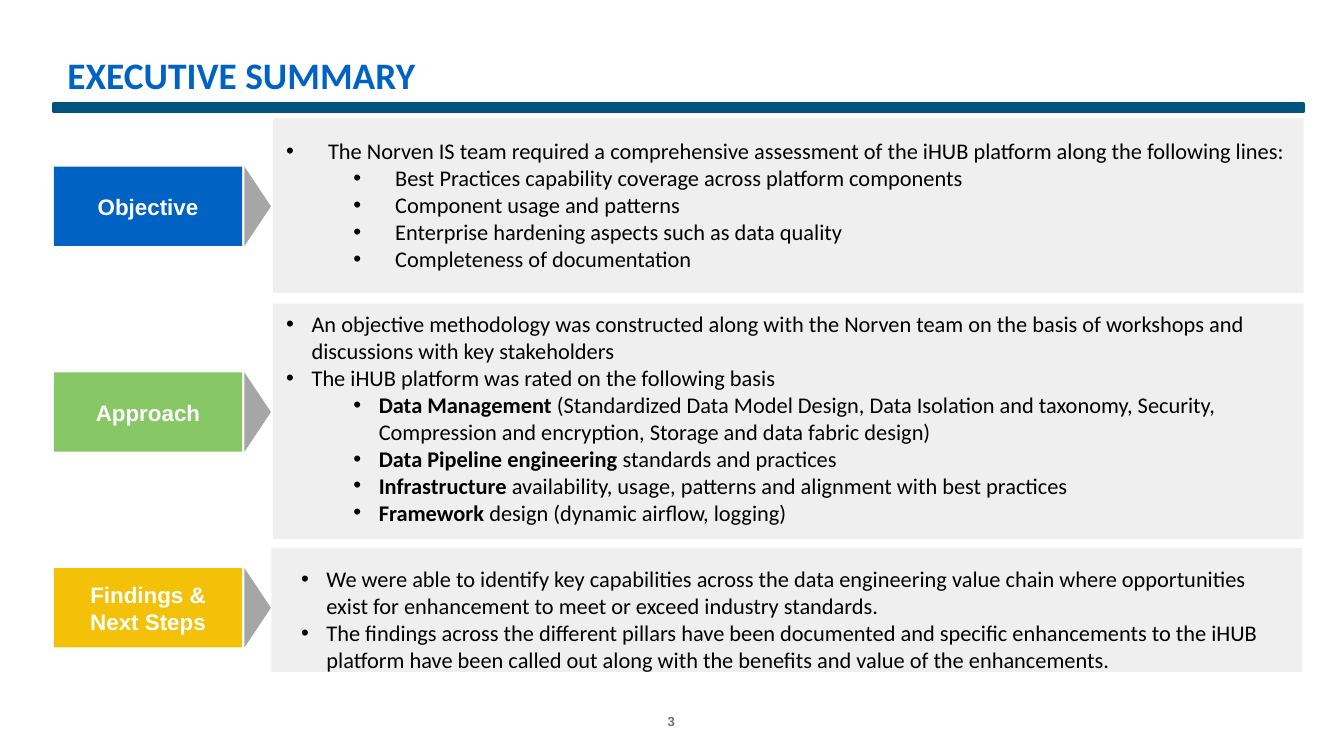
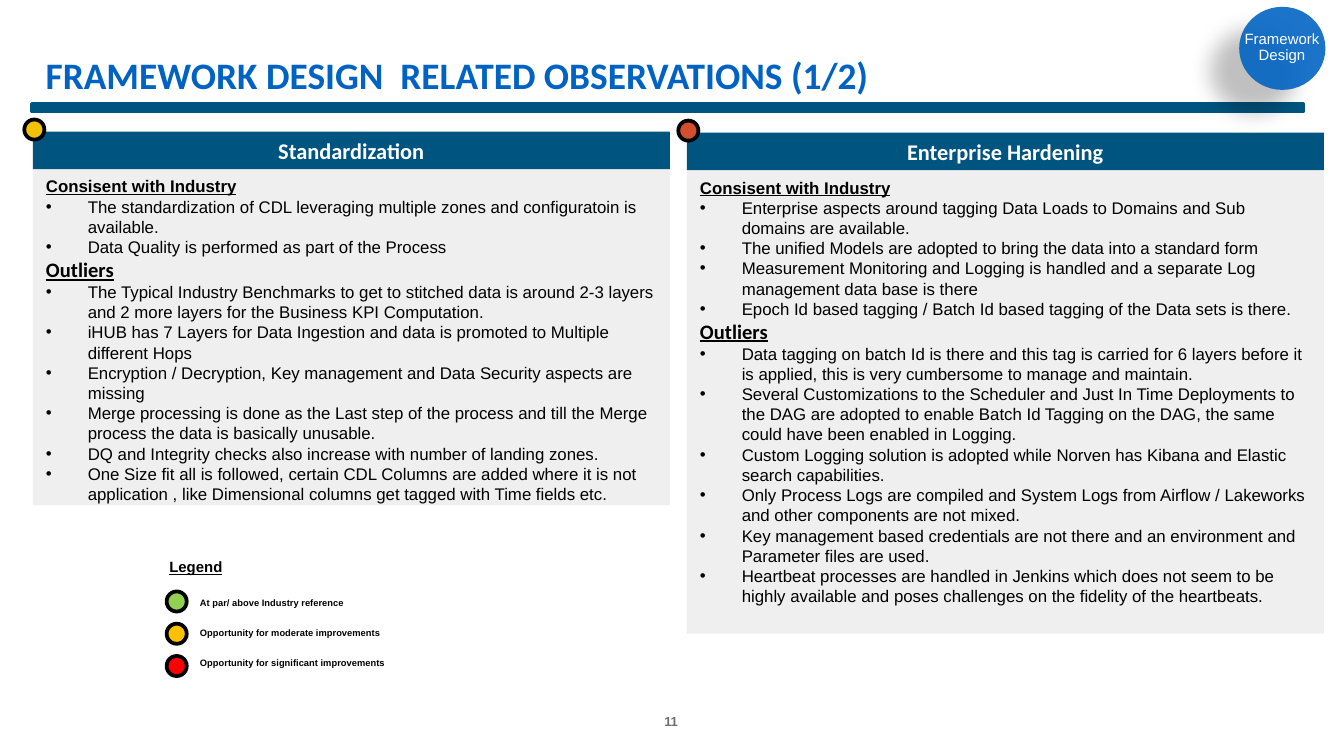
"""Build the two review slides: the summary and the framework findings."""
import lxml.etree
import pptx
import pptx.dml.color
import pptx.enum.shapes
import pptx.enum.text
import pptx.oxml.ns
import pptx.util

Cm = pptx.util.Cm
Pt = pptx.util.Pt
RGBColor = pptx.dml.color.RGBColor
Shape = pptx.enum.shapes.MSO_SHAPE
Align = pptx.enum.text.PP_ALIGN
Anchor = pptx.enum.text.MSO_ANCHOR
qn = pptx.oxml.ns.qn

BLUE = RGBColor(0x00, 0x63, 0xC3)
NAVY = RGBColor(0x00, 0x54, 0x80)
GREEN = RGBColor(0x88, 0xC7, 0x65)
GOLD = RGBColor(0xF3, 0xC1, 0x08)
RUST = RGBColor(0xD3, 0x4D, 0x2F)
LIME = RGBColor(0x92, 0xD0, 0x50)
AMBER = RGBColor(0xFF, 0xC0, 0x00)
RED = RGBColor(0xFF, 0x00, 0x00)
PALE = RGBColor(0xEF, 0xEF, 0xEF)
GRAY = RGBColor(0xA6, 0xA6, 0xA6)
SLATE = RGBColor(0x71, 0x6F, 0x73)
BLACK = RGBColor(0x00, 0x00, 0x00)
WHITE = RGBColor(0xFF, 0xFF, 0xFF)
SANS = "Arial"
HUMAN = "Calibri"

GOALS = [
    (0, "The Norven IS team required a comprehensive assessment of the iHUB platform along the following lines:"),
    (1, "Best Practices capability coverage across platform components"),
    (1, "Component usage and patterns"),
    (1, "Enterprise hardening aspects such as data quality"),
    (1, "Completeness of documentation"),
]
STEPS = [
    (0, "An objective methodology was constructed along with the Norven team on the basis of workshops and discussions with key stakeholders"),
    (0, "The iHUB platform was rated on the following basis"),
    (1, "Data Management| (Standardized Data Model Design, Data Isolation and taxonomy, Security, Compression and encryption, Storage and data fabric design)"),
    (1, "Data Pipeline engineering| standards and practices"),
    (1, "Infrastructure| availability, usage, patterns and alignment with best practices"),
    (1, "Framework| design (dynamic airflow, logging)"),
]
FINDS = [
    (0, "We were able to identify key capabilities across the data engineering value chain where opportunities exist for enhancement to meet or exceed industry standards."),
    (0, "The findings across the different pillars have been documented and specific enhancements to the iHUB platform have been called out along with the benefits and value of the enhancements."),
]
ROWS = [
    ("Objective", BLUE, 3.15, GOALS, (5.16, 2.24, 3.3), 0.36, 0.79, 0.79),
    ("Approach", GREEN, 7.04, STEPS, (5.16, 5.74, 4.45), 0.13, 0.48, 0.48),
    ("Findings & Next Steps", GOLD, 10.74, FINDS, (5.13, 10.36, 2.34), 0.33, 0.79, 0.48),
]
COLS = [
    ("Standardization", GOLD, 0.62, 2.49, 6.35, [
        "The standardization of CDL leveraging multiple zones and configuratoin is available.",
        "Data Quality is performed as part of the Process",
    ], [
        "The Typical Industry Benchmarks to get to stitched data is around 2-3 layers and 2 more layers for the Business KPI Computation.",
        "iHUB has 7 Layers for Data Ingestion and data is promoted to Multiple different Hops",
        "Encryption / Decryption, Key management and Data Security aspects are missing",
        "Merge processing is done as the Last step of the process and till the Merge process the data is basically unusable.",
        "DQ and Integrity checks also increase with number of landing zones.",
        "One Size fit all is followed, certain CDL Columns are added where it is not application , like Dimensional columns get tagged with Time fields etc.",
    ]),
    ("Enterprise Hardening", RUST, 12.98, 2.51, 8.76, [
        "Enterprise aspects around tagging Data Loads to Domains and Sub domains are available.",
        "The unified Models are adopted to bring the data into a standard form",
        "Measurement Monitoring and Logging is handled and a separate Log management data base is there",
        "Epoch Id based tagging / Batch Id based tagging of the Data sets is there.",
    ], [
        "Data tagging on batch Id is there and this tag is carried for 6 layers before it is applied, this is very cumbersome to manage and maintain.",
        "Several Customizations to the Scheduler and Just In Time Deployments to the DAG are adopted to enable Batch Id Tagging on the DAG, the same could have been enabled in Logging.",
        "Custom Logging solution is adopted while Norven has Kibana and Elastic search capabilities.",
        "Only Process Logs are compiled and System Logs from Airflow / Lakeworks and other components are not mixed.",
        "Key management based credentials are not there and an environment and Parameter files are used.",
        "Heartbeat processes are handled in Jenkins which does not seem to be highly available and poses challenges on the fidelity of the heartbeats.",
    ]),
]
LEGEND = [
    (LIME, "At par/ above Industry reference"),
    (AMBER, "Opportunity for moderate improvements"),
    (RED, "Opportunity for significant improvements"),
]


class Deck:
    def __init__(self):
        self.show = pptx.Presentation()
        self.show.slide_width = Cm(25.4)
        self.show.slide_height = Cm(14.29)
        self.slide = None

    def page(self, title, number, left, width):
        self.slide = self.show.slides.add_slide(self.show.slide_layouts[5])
        head = self.slide.shapes.title
        head.left, head.top, head.width, head.height = Cm(left), Cm(0.84), Cm(width), Cm(1.12)
        self.fill(head.text_frame, [title], HUMAN, 20, BLUE, True, Align.LEFT, Anchor.BOTTOM)
        bar = self.block(Shape.RECTANGLE, left, 1.97, 24.63 - left, 0.14, NAVY)
        self.edge(bar, NAVY)
        self.label([str(number)], 11.53, 13.03, 2.31, 0.76, 7, SLATE, True,
                   Align.CENTER, Anchor.BOTTOM, 0)

    def block(self, kind, left, top, width, height, color):
        shape = self.slide.shapes.add_shape(kind, Cm(left), Cm(top), Cm(width), Cm(height))
        shape.shadow.inherit = False
        shape.fill.solid()
        shape.fill.fore_color.rgb = color
        shape.line.fill.background()
        return shape

    def edge(self, shape, color):
        shape.line.color.rgb = color
        shape.line.width = Pt(2)

    def style(self, part, face, size, color, bold=False, under=False):
        for run in part.runs:
            run.font.name = face
            run.font.size = Pt(size)
            run.font.color.rgb = color
            run.font.bold = bold
            run.font.underline = under

    def fill(self, frame, lines, face, size, color, bold, align, anchor):
        frame.word_wrap = True
        frame.auto_size = pptx.enum.text.MSO_AUTO_SIZE.NONE
        frame.vertical_anchor = anchor
        frame.text = "\n".join(lines)
        for part in frame.paragraphs:
            part.alignment = align
            self.style(part, face, size, color, bold)

    def label(self, lines, left, top, width, height, size, color, bold,
              align=Align.LEFT, anchor=Anchor.TOP, inset=None):
        box = self.slide.shapes.add_textbox(Cm(left), Cm(top), Cm(width), Cm(height))
        frame = box.text_frame
        self.fill(frame, lines, SANS, size, color, bold, align, anchor)
        if inset is not None:
            frame.margin_left = frame.margin_right = Cm(inset)
            frame.margin_top = frame.margin_bottom = Cm(inset)
        return frame

    def band(self, text, left, top, width, height, color, face):
        shape = self.block(Shape.RECTANGLE, left, top, width, height, color)
        self.fill(shape.text_frame, [text], face, 12, WHITE, True, Align.CENTER, Anchor.MIDDLE)

    def panel(self, left, top, width, height, inset=0.13):
        frame = self.block(Shape.RECTANGLE, left, top, width, height, PALE).text_frame
        frame.word_wrap = True
        frame.vertical_anchor = Anchor.TOP
        frame.margin_top = Cm(inset)
        return frame

    def line(self, frame, text):
        part = frame.paragraphs[0]
        if part.runs:
            part = frame.add_paragraph()
        part.text = text
        part.alignment = Align.LEFT
        return part

    def bullet(self, frame, text, level, indent, hang, face, size):
        lead, mark, rest = text.partition("|")
        part = self.line(frame, lead)
        part.level = level
        props = part._p.get_or_add_pPr()
        props.set("marL", str(Cm(indent + 1.27 * level)))
        props.set("indent", str(-Cm(hang)))
        lxml.etree.SubElement(props, qn("a:buFont")).set("typeface", SANS)
        lxml.etree.SubElement(props, qn("a:buChar")).set("char", "•")
        if mark:
            part.add_run().text = rest
        self.style(part, face, size, BLACK)
        part.runs[0].font.bold = bool(mark)

    def dot(self, left, top, color):
        self.edge(self.block(Shape.OVAL, left, top, 0.38, 0.38, color), BLACK)

    def badge(self, lines):
        disc = self.block(Shape.OVAL, 23.42, 0.13, 1.63, 1.57, BLUE)
        props = disc._element.spPr
        tint = props.find(qn("a:solidFill"))[0]
        lxml.etree.SubElement(tint, qn("a:alpha")).set("val", "89000")
        shade = lxml.etree.SubElement(props.find(qn("a:effectLst")), qn("a:outerShdw"))
        for key, value in (("blurRad", Pt(11.8)), ("dist", Pt(19.7)), ("dir", 141 * 60000)):
            shade.set(key, str(value))
        tone = lxml.etree.SubElement(shade, qn("a:srgbClr"))
        tone.set("val", str(BLACK))
        lxml.etree.SubElement(tone, qn("a:alpha")).set("val", "28000")
        frame = self.label(lines, 23.47, 0.33, 1.52, 1.14, 8, WHITE, False,
                           Align.CENTER, Anchor.MIDDLE, 0.03)
        for part in frame.paragraphs:
            part.line_spacing = 0.9


def main():
    deck = Deck()

    deck.page("EXECUTIVE SUMMARY", 3, 1.02, 11.48)
    for name, color, top, items, (left, high, tall), inset, indent, hang in ROWS:
        deck.band(name, 1.02, top, 3.56, 1.5, color, SANS)
        arrow = deck.block(Shape.ISOSCELES_TRIANGLE, 4.12, top + 0.5, 1.5, 0.5, GRAY)
        arrow.rotation = 90
        frame = deck.panel(left, high, 19.48, tall, inset)
        for level, text in items:
            deck.bullet(frame, text, level, indent, hang, HUMAN, 12)

    deck.page("FRAMEWORK DESIGN  RELATED OBSERVATIONS (1/2)", 11, 0.61, 18.59)
    for name, color, left, top, tall, norms, gaps in COLS:
        frame = deck.panel(left, top + 0.71, 12.04, tall)
        for head, face, size, items in (("Consisent with Industry", SANS, 9, norms),
                                        ("Outliers", HUMAN, 11, gaps)):
            deck.style(deck.line(frame, head), face, size, BLACK, True, True)
            for text in items:
                deck.bullet(frame, text, 0, 0.79, 0.79, SANS, 9)
        deck.band(name, left, top, 12.04, 0.71, NAVY, HUMAN)
        deck.dot(left - 0.16, top - 0.23, color)
    deck.badge(["Framework", "Design"])

    frame = deck.label(["Legend"], 2.95, 10.41, 1.52, 0.61, 8, BLACK, True)
    frame.word_wrap = False
    frame.paragraphs[0].runs[0].font.underline = True
    for row, (color, text) in enumerate(LEGEND):
        deck.dot(3.15, 11.18 + 0.61 * row, color)
        deck.label([text], 3.53, 11.17 + 0.56 * row, 7.2, 0.48, 5, BLACK, True)

    deck.show.save("out.pptx")


if __name__ == "__main__":
    main()
